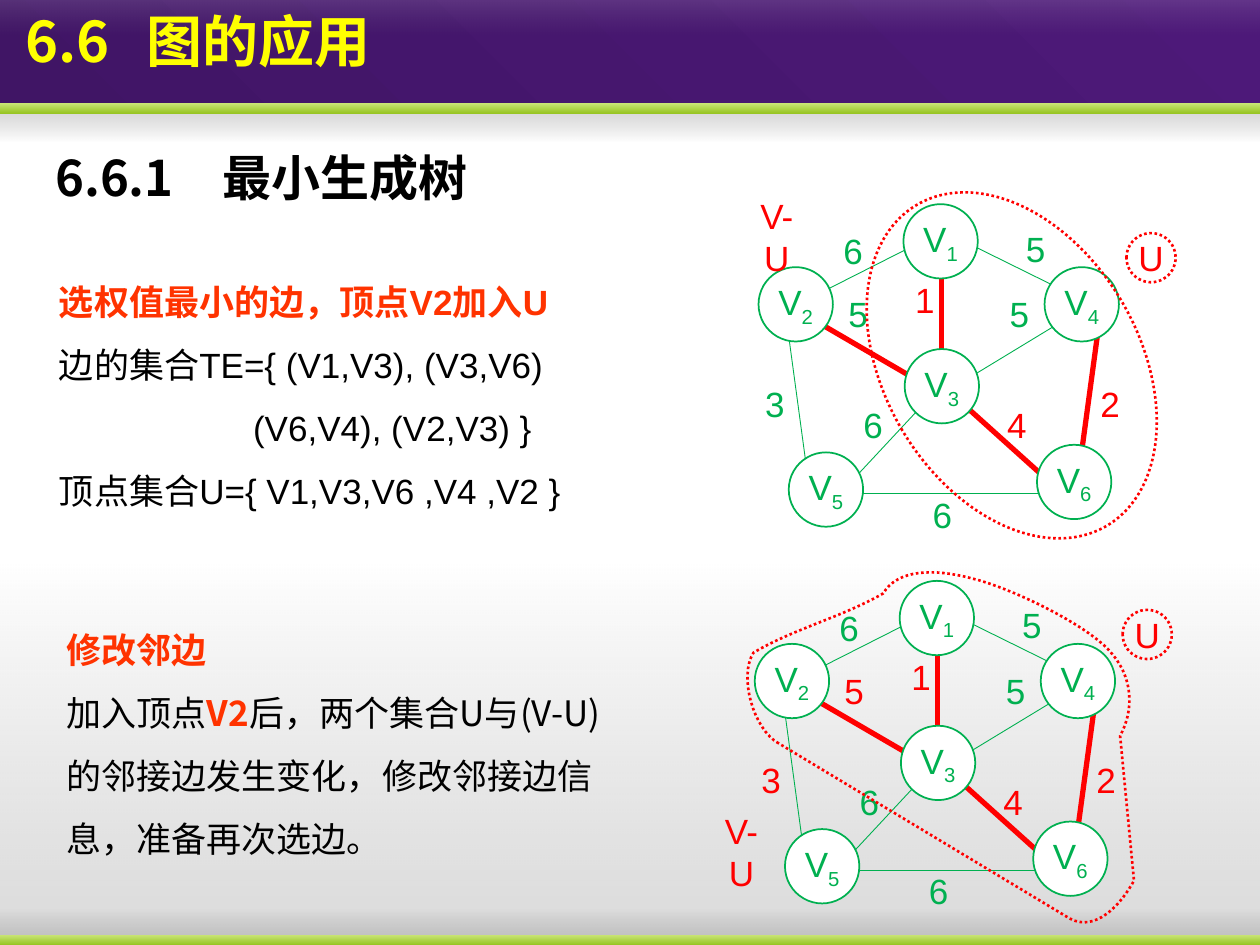
from pptx import Presentation
from pptx.dml.color import RGBColor
from pptx.enum.dml import MSO_LINE
from pptx.enum.shapes import MSO_CONNECTOR, MSO_SHAPE
from pptx.enum.text import MSO_ANCHOR, MSO_AUTO_SIZE, PP_ALIGN
from pptx.oxml.ns import qn
from pptx.util import Cm, Pt

RECT, OVAL, STRAIGHT = MSO_SHAPE.RECTANGLE, MSO_SHAPE.OVAL, MSO_CONNECTOR.STRAIGHT
TOP, MIDDLE, DOTTED = MSO_ANCHOR.TOP, MSO_ANCHOR.MIDDLE, MSO_LINE.ROUND_DOT
LEFT, CENTER, NO_FIT = PP_ALIGN.LEFT, PP_ALIGN.CENTER, MSO_AUTO_SIZE.NONE

THEME = {
    "latin": "Arial", "cjk": "Noto Sans CJK SC",
    "title": "FFFF00", "text": "000000", "accent": "FF3300",
    "green": "00B050", "red": "FF0000", "paper": "FFFFFF",
    "title_size": 32, "heading_size": 28, "size": 20,
    "thin": 0.5, "outline": 1, "dotted": 1.5, "thick": 3,
}
UNIT = 2.54  # cm per layout unit; the slide is 10 by 7.5 units

SHADE = ("5C5C5C", 0)
LIME = (("C9E576", 100), ("97C523", 100))
# top, height, (colour, opacity) of both stops, gradient angle, rotation
FOOTER_BANDS = [
    (7.22, 0.24, (SHADE, ("808080", 33)), 270, 0),
    (4.46, 3.04, (SHADE, ("808080", 29)), 270, 0),
    (7.42, 0.08, LIME, 270, 0),
]
HEADER_BANDS = [
    (0, 0.9, (("401565", 100), ("4D1979", 100)), 45, 0),
    (0.88, 0.24, (SHADE, ("808080", 33)), 270, 180),
    (0.82, 0.08, LIME, 270, 0),
    (0, 0.28, (("FFFFFF", 13), ("B6B6B6", 0)), 270, 0),
]

TITLE = "6.6\t图的应用"
HEADING = "6.6.1\u3000最小生成树"
# each paragraph: indent, runs of (text, colour, bold, font)
CHOICE = [
    (0, [("选权值最小的边，顶点V2加入U", "accent", True, "latin")]),
    (0, [("边的集合TE={ (V1,V3), (V3,V6)", "text", False, "latin")]),
    (1.54, [("(V6,V4), (V2,V3) }", "text", False, "latin")]),
    (0, [("顶点集合U={ V1,V3,V6 ,V4 ,V2 }", "text", False, "latin")]),
]
UPDATE = [
    (0, [("修改邻边", "accent", True, "latin")]),
    (0, [("加入顶点", "text", False, "cjk"), ("V2", "accent", True, "cjk"),
         ("后，两个集合U与(V-U)的邻接边发生变化，修改邻接边信息，准备再次选边。",
          "text", False, "cjk")]),
]

NODE_SIZE, WEIGHT_SIZE, SET_SIZE = 0.59, 0.24, 0.39
NODES = {"2": (6.02, 2.12), "4": (8.29, 2.12), "5": (6.26, 3.59),
         "6": (8.23, 3.53), "1": (7.17, 1.62), "3": (7.18, 2.77)}
# vertices: ends of the edge, weight, place of the weight
EDGES = {
    "13": ((7.47, 2.86), (7.47, 2.07), "1", (7.22, 2.26)),
    "34": ((7.64, 3.03), (8.48, 2.52), "5", (7.97, 2.37)),
    "25": ((6.26, 2.67), (6.42, 3.85), "3", (6.03, 3.08)),
    "12": ((7.25, 1.95), (6.46, 2.35), "6", (6.65, 1.87)),
    "14": ((8.43, 2.3), (7.64, 1.91), "5", (8.1, 1.85)),
    "23": ((7.25, 3), (6.46, 2.54), "5", (6.69, 2.37)),
    "36": ((8.37, 3.86), (7.67, 3.23), "4", (7.95, 3.25)),
    "35": ((6.73, 3.85), (7.28, 3.26), "6", (6.81, 3.25)),
    "56": ((6.82, 3.92), (8.27, 3.92), "6", (7.36, 3.96)),
    "46": ((8.55, 3.84), (8.71, 2.66), "2", (8.69, 3.08)),
}
TREE = {"13", "36", "46", "23"}
U_PLACE = (8.94, 1.85)
ELLIPSE = (7.02, 1.42, 2.02, 2.96, 329.3)
# a start point, then cubic curves (three points) and straight lines (one)
OUTLINE = [
    [(6.18, 5.9)],
    [(5.98, 5.79), (5.86, 5.37), (5.98, 5.18)],
    [(6.3, 4.99), (6.68, 4.9), (7.01, 4.71)],
    [(7.12, 4.52), (7.41, 4.51), (7.71, 4.59)],
    [(8.01, 4.66), (8.61, 4.95), (8.8, 5.16)],
    [(9, 5.37), (9, 5.64), (8.89, 5.84)],
    [(9, 6.99)],
    [(8.89, 7.19), (8.69, 7.4), (8.49, 7.29)],
]
GRAPHS = [
    {"shift": (0, 0), "red": TREE - {"23"}, "rest": (5.97, 1.68), "outline": None},
    {"shift": (-0.03, 2.99), "red": TREE | {"25"}, "rest": (5.69, 6.56), "outline": OUTLINE},
]


def units(*values):
    return [Cm(value * UNIT) for value in values]


def color(name):
    return RGBColor.from_string(THEME.get(name, name))


def style(run, ink, size="size", bold=False, face="latin"):
    run.font.size, run.font.bold = Pt(THEME[size]), bold
    run.font.color.rgb = color(ink)
    run.font.name = THEME[face]
    east_asian = run._r.get_or_add_rPr().makeelement(qn("a:ea"), {"typeface": THEME["cjk"]})
    run.font._element.find(qn("a:latin")).addnext(east_asian)


def add_band(shapes, top, height, stops, angle, rotation):
    band = shapes.add_shape(RECT, *units(0, top, 10, height))
    band.shadow.inherit = False
    band.line.fill.background()
    band.rotation = rotation
    band.fill.gradient()
    band.fill.gradient_angle = angle
    for stop, (ink, opacity) in zip(band.fill.gradient_stops, stops):
        stop.color.rgb = color(ink)
        if opacity < 100:
            rgb = stop._gs.find(qn("a:srgbClr"))
            rgb.append(rgb.makeelement(qn("a:alpha"), {"val": str(opacity * 1000)}))


def add_paragraphs(shapes, box, paragraphs, size="size", spacing=1.0):
    frame = shapes.add_textbox(*units(*box)).text_frame
    frame.word_wrap = True
    for number, (indent, runs) in enumerate(paragraphs):
        paragraph = frame.paragraphs[0] if number == 0 else frame.add_paragraph()
        paragraph.line_spacing = spacing
        if indent:
            paragraph._p.get_or_add_pPr().set("marL", str(units(indent)[0]))
        for words, ink, bold, face in runs:
            run = paragraph.add_run()
            run.text = words
            style(run, ink, size, bold, face)


def center_text(shape, parts, ink, inset=0):
    """Write the first part normally and the next one as a subscript."""
    frame = shape.text_frame
    frame.word_wrap, frame.vertical_anchor = False, MIDDLE
    frame.margin_left = frame.margin_right = frame.margin_top = frame.margin_bottom = Cm(inset)
    paragraph = frame.paragraphs[0]
    paragraph.alignment = CENTER
    for number, part in enumerate(parts):
        run = paragraph.add_run()
        run.text = part
        style(run, ink)
        if number:
            run.font._element.set("baseline", "-25000")


def dot_outline(shape):
    shape.shadow.inherit = False
    shape.fill.background()
    shape.line.color.rgb = color("red")
    shape.line.width = Pt(THEME["dotted"])
    shape.line.dash_style = DOTTED


def curve_points(segments, steps=16):
    points = list(segments[0])
    for segment in segments[1:]:
        if len(segment) == 1:
            points += segment
            continue
        corners = [points[-1], *segment]
        for step in range(1, steps + 1):
            t = step / steps
            weights = ((1 - t) ** 3, 3 * t * (1 - t) ** 2, 3 * t * t * (1 - t), t ** 3)
            points.append(tuple(sum(w * c[axis] for w, c in zip(weights, corners))
                                for axis in (0, 1)))
    return points


def add_graph(shapes, graph):
    dx, dy = graph["shift"]

    def moved(place):
        return place[0] + dx, place[1] + dy

    for name, (start, end, _, _) in EDGES.items():
        edge = shapes.add_connector(STRAIGHT, *units(*moved(start), *moved(end)))
        edge.line.color.rgb = color("red" if name in TREE else "green")
        edge.line.width = Pt(THEME["thick" if name in TREE else "thin"])
        properties = edge._element.spPr
        properties.append(properties.makeelement(qn("a:effectLst"), {}))
    for number, place in NODES.items():
        node = shapes.add_shape(OVAL, *units(*moved(place), NODE_SIZE, NODE_SIZE))
        node.shadow.inherit = False
        node.fill.solid()
        node.fill.fore_color.rgb = color("paper")
        node.line.color.rgb = color("green")
        node.line.width = Pt(THEME["outline"])
        center_text(node, ["V", number], "green", 0.13)
    for name, (_, _, weight, place) in EDGES.items():
        label = shapes.add_textbox(*units(*moved(place), WEIGHT_SIZE, WEIGHT_SIZE))
        center_text(label, [weight], "red" if name in graph["red"] else "green")

    if graph["outline"]:
        points = [tuple(units(*point)) for point in curve_points(graph["outline"])]
        builder = shapes.build_freeform(*points[0])
        builder.add_line_segments(points[1:], close=True)
        boundary = builder.convert_to_shape()
    else:
        *box, rotation = ELLIPSE
        boundary = shapes.add_shape(OVAL, *units(*box))
        boundary.rotation = rotation
    dot_outline(boundary)
    chosen = shapes.add_shape(OVAL, *units(*moved(U_PLACE), SET_SIZE, SET_SIZE))
    dot_outline(chosen)
    center_text(chosen, ["U"], "red")
    rest = shapes.add_textbox(*units(*graph["rest"], SET_SIZE, SET_SIZE))
    center_text(rest, ["V-U"], "red")


def place_title(shapes):
    title = shapes.title
    shapes._spTree.append(title._element)  # in front of the header bands
    title.left, title.top, title.width, title.height = units(0.1, 0, 9.9, 0.9)
    frame = title.text_frame
    frame.text = TITLE
    frame.auto_size, frame.vertical_anchor = NO_FIT, TOP
    paragraph = frame.paragraphs[0]
    paragraph.alignment = LEFT
    properties = paragraph._p.get_or_add_pPr()
    tabs = properties.makeelement(qn("a:tabLst"), {})
    tabs.append(tabs.makeelement(qn("a:tab"), {"pos": str(Cm(2.45)), "algn": "l"}))
    properties.append(tabs)
    for run in paragraph.runs:
        style(run, "title", "title_size", True, "cjk")


def main():
    deck = Presentation()
    deck.slide_width, deck.slide_height = units(10, 7.5)
    shapes = deck.slides.add_slide(deck.slide_layouts[5]).shapes
    for band in FOOTER_BANDS + HEADER_BANDS:
        add_band(shapes, *band)
    place_title(shapes)
    add_paragraphs(shapes, (0.34, 1.12, 4.88, 0.57),
                   [(0, [(HEADING, "text", True, "cjk")])], "heading_size")
    add_paragraphs(shapes, (0.37, 2.01, 4.54, 2.06), CHOICE, spacing=1.5)
    add_paragraphs(shapes, (0.43, 4.77, 4.5, 2.06), UPDATE, spacing=1.5)
    for graph in GRAPHS:
        add_graph(shapes.add_group_shape().shapes, graph)
    deck.save("out.pptx")


if __name__ == "__main__":
    main()
